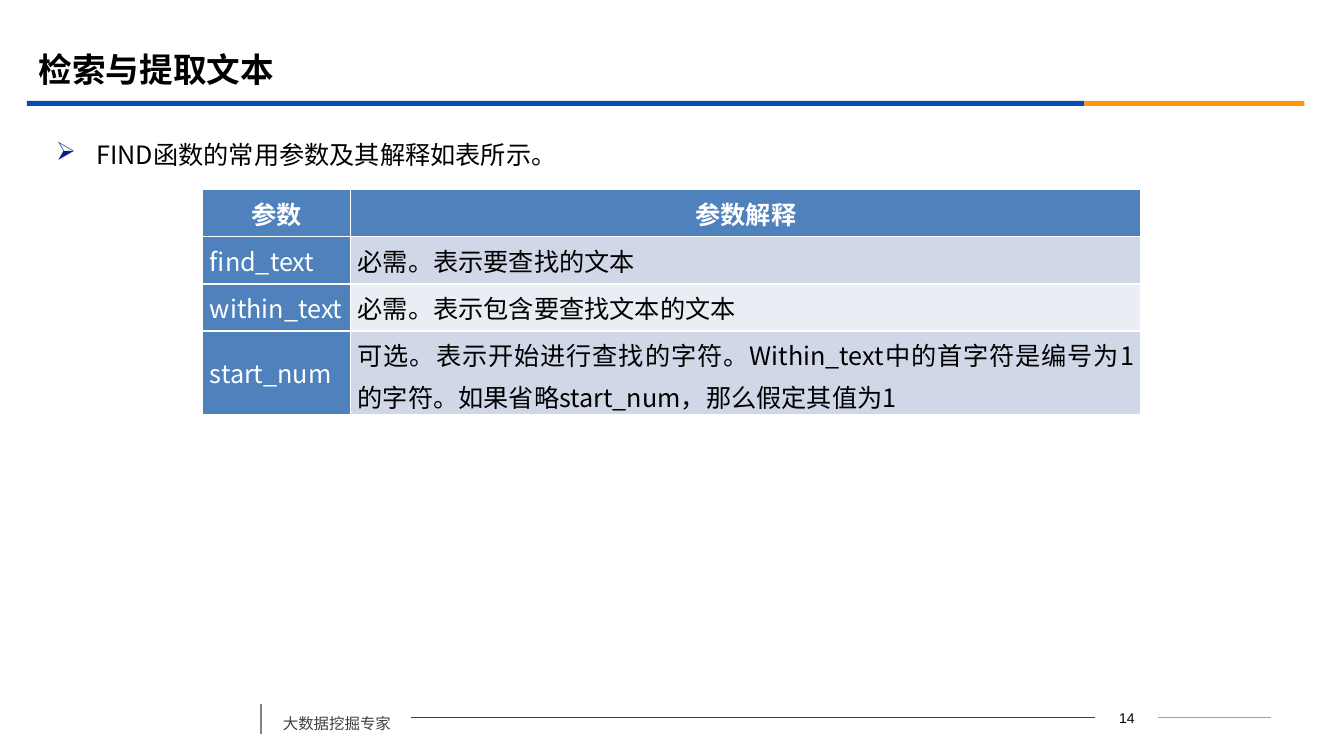
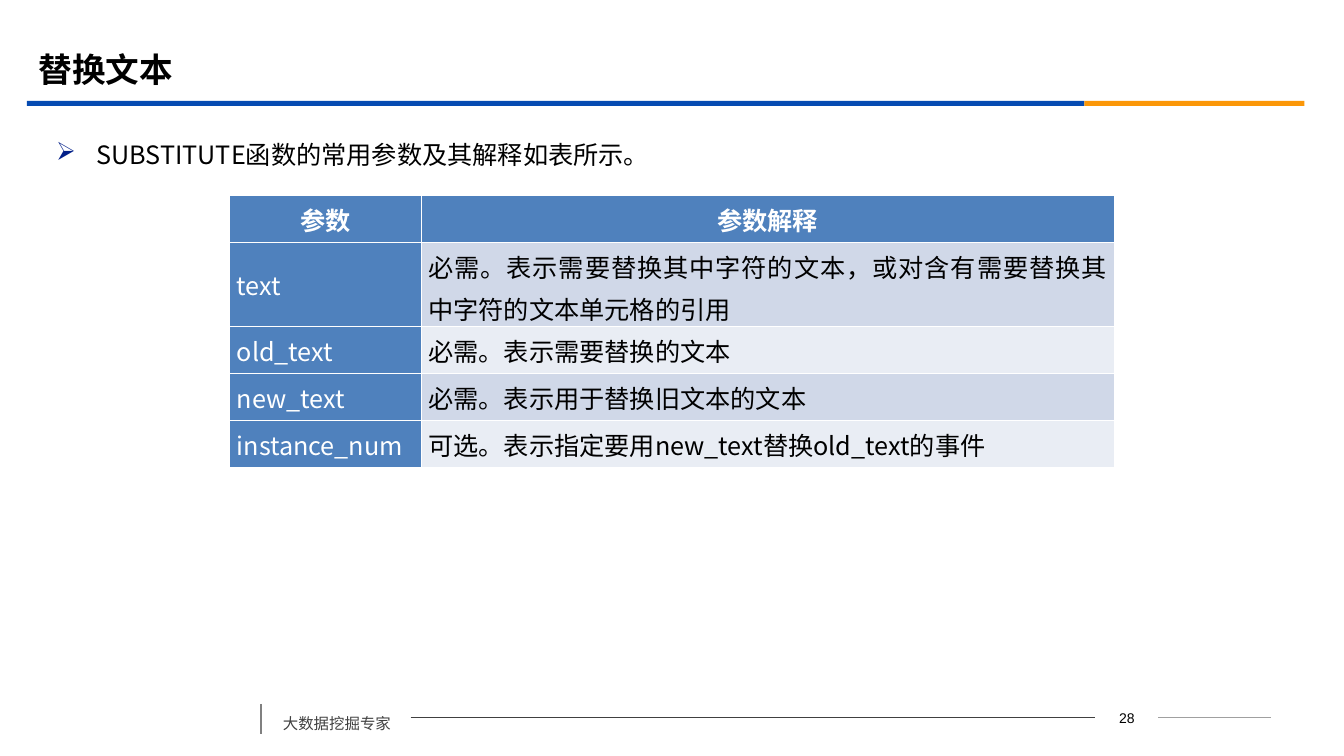
"""Builds two slides that explain the parameters of spreadsheet text functions."""
from lxml.etree import SubElement
from pptx import Presentation
from pptx.dml.color import RGBColor
from pptx.enum.shapes import MSO_CONNECTOR as Connector, MSO_SHAPE as Preset
from pptx.enum.text import MSO_ANCHOR as Anchor, PP_ALIGN as Align
from pptx.oxml.ns import qn
from pptx.util import Inches, Pt

BLACK = RGBColor(0x00, 0x00, 0x00)
WHITE = RGBColor(0xFF, 0xFF, 0xFF)
BLUE = RGBColor(0x06, 0x4B, 0xB2)
ORANGE = RGBColor(0xFB, 0x97, 0x08)
NAVY = RGBColor(0x03, 0x20, 0x89)
CHARCOAL = RGBColor(0x40, 0x40, 0x40)
GREY = RGBColor(0x80, 0x80, 0x80)
SILVER = RGBColor(0xA0, 0xA0, 0xA0)
HEADER = RGBColor(0x4F, 0x81, 0xBD)
BANDS = RGBColor(0xD0, 0xD8, 0xE8), RGBColor(0xE9, 0xED, 0xF4)

FONT = "Noto Sans CJK SC"
COLUMNS, ROWS = 80, 45
UNIT = Inches(1) / 6
ROW, TALL_ROW = 2.8, 5


def grid(*cells):
    """Turn grid columns or rows into lengths."""
    return [round(cell * UNIT) for cell in cells]


class Deck:
    """Holds the shared style and the current slide."""

    def __init__(self):
        """Start an empty presentation of the grid's size."""
        self.show = Presentation()
        self.show.slide_width, self.show.slide_height = grid(COLUMNS, ROWS)
        self.slide = None

    def style(self, paragraph, size, color=BLACK, bold=False, font=FONT):
        """Set the font of a whole paragraph."""
        face = paragraph.font
        face.name, face.size, face.bold = font, Pt(size), bold
        face.color.rgb = color
        defaults = paragraph._p.pPr.find(qn("a:defRPr"))
        SubElement(defaults, qn("a:ea")).set("typeface", font)

    def text(self, words, left, top, width, height):
        """Add a wrapping text box and return its paragraph."""
        frame = self.slide.shapes.add_textbox(*grid(left, top, width, height)).text_frame
        frame.word_wrap = True
        frame.text = words
        return frame.paragraphs[0]

    def bar(self, left, width, color):
        """Add a part of the bar below the title."""
        bar = self.slide.shapes.add_shape(Preset.RECTANGLE, *grid(left, 6, width, 0.3))
        bar.shadow.inherit = False
        bar.fill.solid()
        bar.fill.fore_color.rgb = color
        bar.line.fill.background()

    def rule(self, x1, y1, x2, y2, color, weight=0.75):
        """Add a thin straight line."""
        rule = self.slide.shapes.add_connector(Connector.STRAIGHT, *grid(x1, y1, x2, y2))
        rule.line.color.rgb, rule.line.width = color, Pt(weight)
        SubElement(rule._element.spPr, qn("a:effectLst"))

    def footer(self, number):
        """Add the footer lines, the motto and the page number."""
        self.rule(15.55, 41.9, 15.55, 43.7, GREY, 1.25)
        self.rule(24.45, 42.72, 65.2, 42.72, CHARCOAL)
        self.rule(68.95, 42.72, 75.65, 42.72, SILVER)
        motto = self.text("大数据挖掘专家", 16.25, 41.65, 8.15, 2.3)
        motto.line_spacing = 1.5
        self.style(motto, 11, CHARCOAL)
        page = self.text(str(number), 65.2, 41.95, 3.75, 1.5)
        page.alignment = Align.CENTER
        self.style(page, 10, font="Arial")

    def start(self, heading, number):
        """Add a slide with its title, bar and footer."""
        self.slide = self.show.slides.add_slide(self.show.slide_layouts[5])
        title = self.slide.shapes.title
        title.left, title.top, title.width, title.height = grid(1.7, 2.35, 72, 3.5)
        title.text_frame.text = heading
        title.text_frame.vertical_anchor = Anchor.MIDDLE
        line = title.text_frame.paragraphs[0]
        line.alignment = Align.LEFT
        self.style(line, 24, bold=True)
        self.bar(1.6, 62.95, BLUE)
        self.bar(64.55, 13.1, ORANGE)
        self.footer(number)

    def bullet(self, words):
        """Add the arrow-marked lead sentence."""
        lead = self.text(words, 2.75, 7.1, 72.9, 33)
        lead.line_spacing = 1.5
        props = lead._p.get_or_add_pPr()
        indent = Inches(0.4)
        props.set("marL", str(indent))
        props.set("indent", str(-indent))
        tint = SubElement(props, qn("a:buClr"))
        SubElement(tint, qn("a:srgbClr")).set("val", str(NAVY))
        SubElement(props, qn("a:buChar")).set("char", "➢")
        self.style(lead, 18)

    def cell(self, cell, words, fill, color, heading=False, wrapped=False):
        """Fill and format one table cell."""
        cell.fill.solid()
        cell.fill.fore_color.rgb = fill
        cell.vertical_anchor = Anchor.MIDDLE
        cell.margin_left = cell.margin_right = Inches(0.07)
        cell.margin_top = cell.margin_bottom = 0
        cell.text = words
        line = cell.text_frame.paragraphs[0]
        line.alignment = Align.CENTER if heading else Align.JUSTIFY
        if wrapped:
            line.line_spacing = Pt(30)
        self.style(line, 18, color, heading)

    def table(self, top, widths, parameters, long_one):
        """Add a centred table of parameters with one two-line row."""
        entries = [("参数", "参数解释"), *parameters]
        heights = [TALL_ROW if name == long_one else ROW for name, _ in entries]
        width = sum(widths)
        place = grid((COLUMNS - width) / 2, top, width, sum(heights))
        table = self.slide.shapes.add_table(len(entries), 2, *place).table
        table.first_col = True
        for column, size in zip(table.columns, grid(*widths)):
            column.width = size
        for index, (name, meaning) in enumerate(entries):
            table.rows[index].height = grid(heights[index])[0]
            heading = index == 0
            fill, color = (HEADER, WHITE) if heading else (BANDS[(index - 1) % 2], BLACK)
            self.cell(table.cell(index, 0), name, HEADER, WHITE, heading)
            self.cell(table.cell(index, 1), meaning, fill, color, heading, name == long_one)


def main():
    """Build both slides and save them."""
    deck = Deck()
    deck.start("检索与提取文本", 14)
    deck.bullet("FIND函数的常用参数及其解释如表所示。")
    deck.table(11.3, (8.8, 47.05), [
        ("find_text", "必需。表示要查找的文本"),
        ("within_text", "必需。表示包含要查找文本的文本"),
        ("start_num", "可选。表示开始进行查找的字符。Within_text中的首字符是编号为1的字符。"
                      "如果省略start_num，那么假定其值为1"),
    ], "start_num")

    deck.start("替换文本", 28)
    deck.bullet("SUBSTITUTE函数的常用参数及其解释如表所示。")
    deck.table(11.65, (11.4, 41.25), [
        ("text", "必需。表示需要替换其中字符的文本，或对含有需要替换其中字符的文本单元格的引用"),
        ("old_text", "必需。表示需要替换的文本"),
        ("new_text", "必需。表示用于替换旧文本的文本"),
        ("instance_num", "可选。表示指定要用new_text替换old_text的事件"),
    ], "text")
    deck.show.save("out.pptx")


if __name__ == "__main__":
    main()
